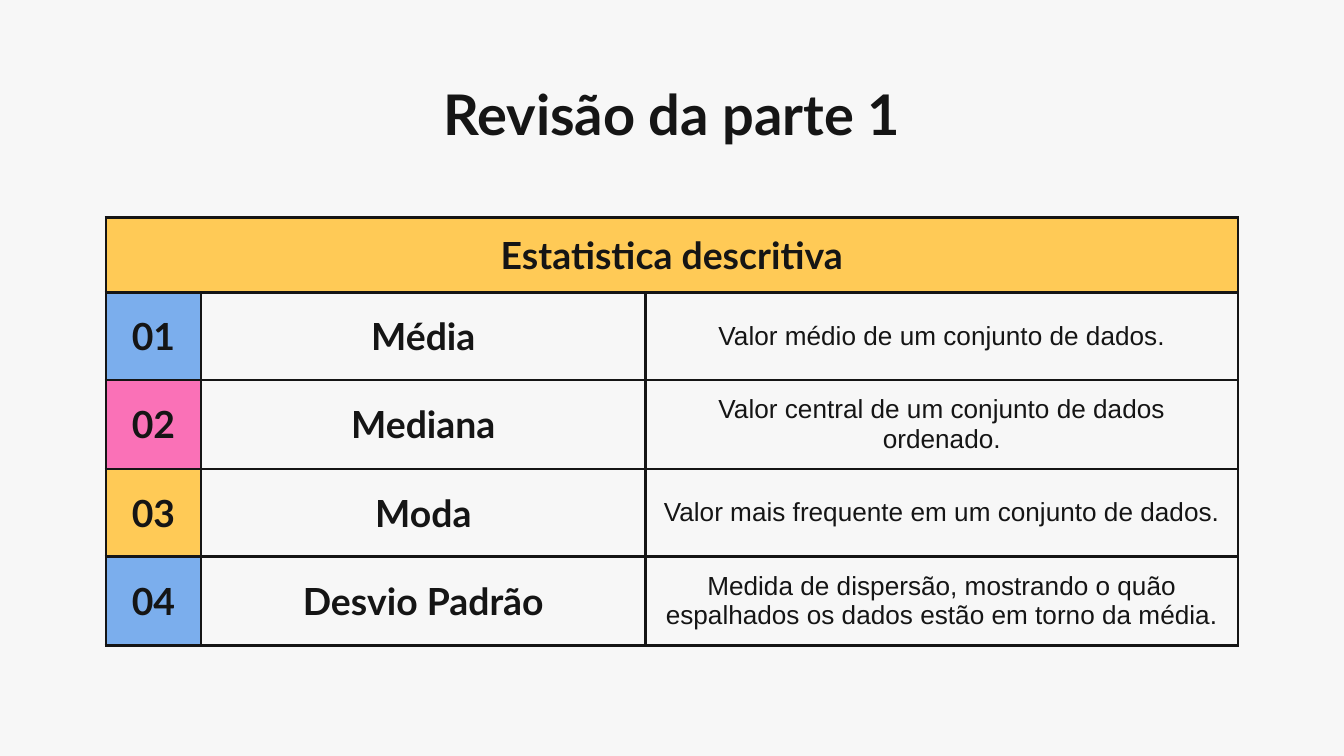
from lxml import etree
from pptx import Presentation
from pptx.dml.color import RGBColor
from pptx.enum.text import MSO_ANCHOR, PP_ALIGN
from pptx.oxml.ns import qn
from pptx.util import Cm, Pt

CENTER = PP_ALIGN.CENTER
TOP = MSO_ANCHOR.TOP
MIDDLE = MSO_ANCHOR.MIDDLE

COLORS = {
    "background": "F7F7F7",
    "ink": "151515",
    "yellow": "FFCA56",
    "blue": "7BAEED",
    "pink": "FA71B7",
}
TITLE = {"name": "Lato", "size": Pt(30), "bold": True}
HEADING = {"name": "Lato", "size": Pt(20), "bold": True}
BODY = {"name": "Arial", "size": Pt(14), "bold": False}

MARGIN = Cm(0.25)
BORDER_WIDTH = Pt(1.5)
COLUMN_WIDTHS = [1.8, 8.4, 11.2]
HEADER_HEIGHT = 1.42
ROW_HEIGHT = 1.65

TOPICS = [
    ("blue", "Média", "Valor médio de um conjunto de dados."),
    ("pink", "Mediana", "Valor central de um conjunto de dados ordenado."),
    ("yellow", "Moda", "Valor mais frequente em um conjunto de dados."),
    ("blue", "Desvio Padrão",
     "Medida de dispersão, mostrando o quão\n"
     "espalhados os dados estão em torno da média."),
]


def set_attributes(target, values):
    for name, value in values.items():
        setattr(target, name, value)


def rgb(color):
    return RGBColor.from_string(COLORS[color])


class SlideBuilder:
    """Holds the shared style and the slide being built."""

    def __init__(self, slide):
        self.slide = slide
        self.margins = {f"margin_{side}": MARGIN
                        for side in ("left", "right", "top", "bottom")}

    def background(self, color):
        fill = self.slide.background.fill
        fill.solid()
        fill.fore_color.rgb = rgb(color)

    def fill_text(self, text_frame, text, font):
        text_frame.text = text
        for paragraph in text_frame.paragraphs:
            paragraph.alignment = CENTER
            for run in paragraph.runs:
                set_attributes(run.font, font)
                run.font.color.rgb = rgb("ink")

    def title(self, text, left, top, width, height):
        shape = self.slide.shapes.add_textbox(
            Cm(left), Cm(top), Cm(width), Cm(height))
        set_attributes(shape.text_frame, {
            **self.margins, "word_wrap": True, "vertical_anchor": TOP})
        self.fill_text(shape.text_frame, text, TITLE)

    def table(self, left, top, column_widths, row_heights):
        table = self.slide.shapes.add_table(
            len(row_heights), len(column_widths), Cm(left), Cm(top),
            Cm(sum(column_widths)), Cm(sum(row_heights))).table
        set_attributes(table, {"first_row": False, "horz_banding": False})
        for column, width in zip(table.columns, column_widths):
            column.width = Cm(width)
        for row, height in zip(table.rows, row_heights):
            row.height = Cm(height)
        for cell in table.iter_cells():
            cell.fill.background()
            self.borders(cell)
        return table

    def borders(self, cell):
        """Draw all four sides; the lines must precede the fill in the XML."""
        properties = cell._tc.get_or_add_tcPr()
        for index, side in enumerate(("lnL", "lnR", "lnT", "lnB")):
            line = etree.Element(qn(f"a:{side}"), w=str(BORDER_WIDTH))
            fill = etree.SubElement(line, qn("a:solidFill"))
            etree.SubElement(fill, qn("a:srgbClr"), val=COLORS["ink"])
            properties.insert(index, line)

    def cell(self, cell, text, font, color=None):
        set_attributes(cell, {**self.margins, "vertical_anchor": MIDDLE})
        if color:
            cell.fill.solid()
            cell.fill.fore_color.rgb = rgb(color)
        self.fill_text(cell.text_frame, text, font)


def main():
    presentation = Presentation()
    presentation.slide_width = Cm(25.4)
    presentation.slide_height = Cm(14.29)
    builder = SlideBuilder(
        presentation.slides.add_slide(presentation.slide_layouts[6]))
    builder.background("background")
    builder.title("Revisão da parte 1", 2, 1.25, sum(COLUMN_WIDTHS), 1.6)

    table = builder.table(
        2, 4.11, COLUMN_WIDTHS, [HEADER_HEIGHT] + [ROW_HEIGHT] * len(TOPICS))
    header = table.cell(0, 0)
    header.merge(table.cell(0, len(COLUMN_WIDTHS) - 1))
    builder.cell(header, "Estatistica descritiva", HEADING, "yellow")
    for row, (color, name, meaning) in enumerate(TOPICS, start=1):
        builder.cell(table.cell(row, 0), f"{row:02}", HEADING, color)
        builder.cell(table.cell(row, 1), name, HEADING)
        builder.cell(table.cell(row, 2), meaning, BODY)

    presentation.save("out.pptx")


if __name__ == "__main__":
    main()
